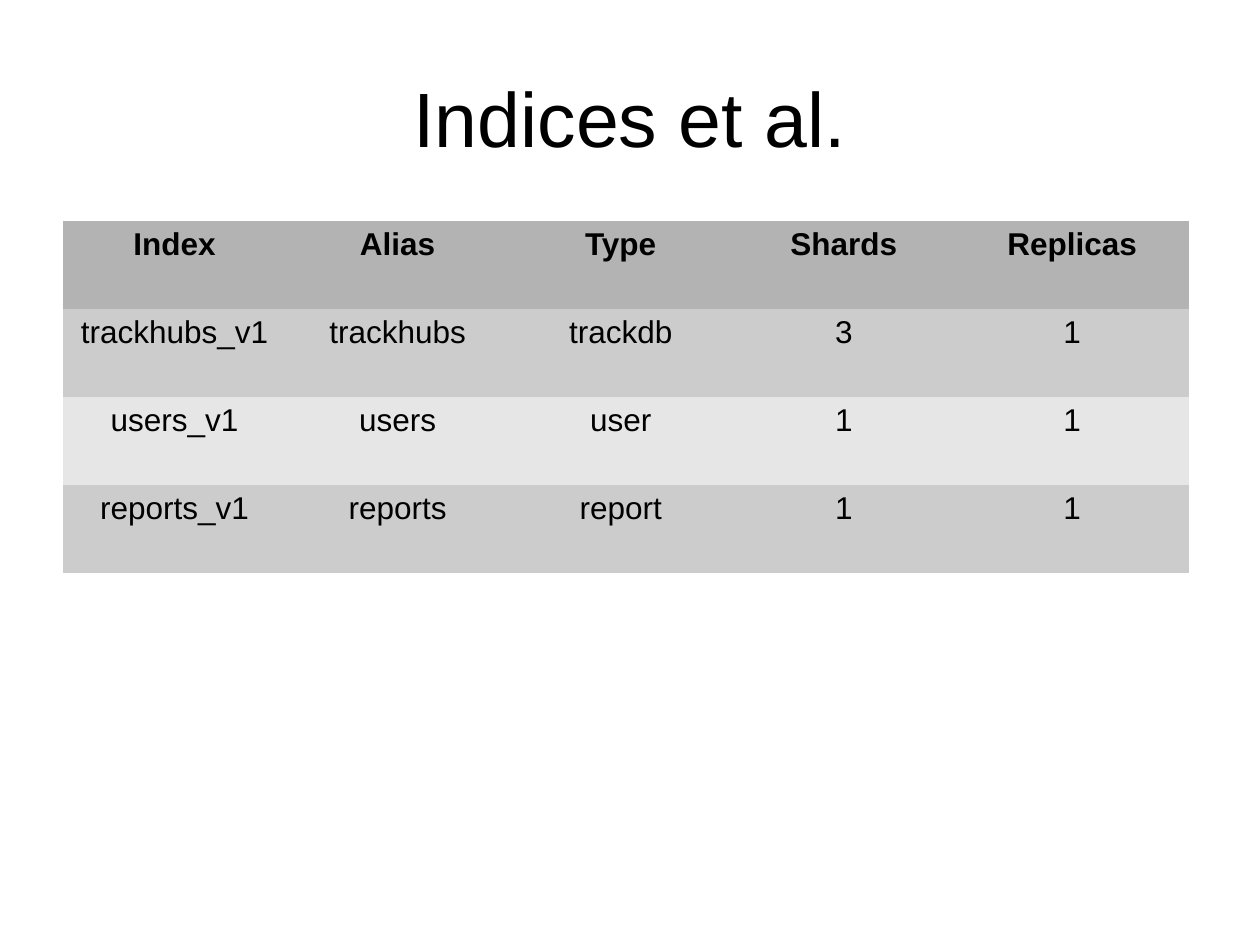
"""Build the slide that lists search indices with their aliases, types, shards and replicas."""
import dataclasses

import pptx
import pptx.dml.color
import pptx.enum.text
import pptx.oxml.ns
import pptx.util


@dataclasses.dataclass(frozen=True)
class Theme:
    font: str = "Arial"
    text: str = "000000"
    header_fill: str = "B3B3B3"
    band_fills: tuple = ("CCCCCC", "E6E6E6")
    title_size: int = 44
    table_size: int = 18


theme = Theme()
NO_GRID_STYLE = "{2D5ABB26-0587-4C30-8999-92F81FD0307C}"
COLUMN_WIDTHS = [127.5, 127.5, 127.5, 127.5, 133.5]
ROW_HEIGHT = 50.4
ROWS = [
    ("Index", "Alias", "Type", "Shards", "Replicas"),
    ("trackhubs_v1", "trackhubs", "trackdb", "3", "1"),
    ("users_v1", "users", "user", "1", "1"),
    ("reports_v1", "reports", "report", "1", "1"),
]


def add_centred_run(text_frame, text, size, bold=False):
    paragraph = text_frame.paragraphs[0]
    paragraph.alignment = pptx.enum.text.PP_ALIGN.CENTER
    run = paragraph.add_run()
    run.text = text
    run.font.name = theme.font
    run.font.size = pptx.util.Pt(size)
    run.font.bold = bold
    run.font.color.rgb = pptx.dml.color.RGBColor.from_string(theme.text)


presentation = pptx.Presentation()
presentation.slide_width = pptx.util.Pt(720)
presentation.slide_height = pptx.util.Pt(540)
slide = presentation.slides.add_slide(presentation.slide_layouts[5])

title = slide.shapes.title
title.left, title.top = pptx.util.Pt(36), pptx.util.Pt(21.6)
title.width, title.height = pptx.util.Pt(648), pptx.util.Pt(90)
title_frame = title.text_frame
title_frame.margin_left = title_frame.margin_right = pptx.util.Pt(0)
title_frame.margin_top = title_frame.margin_bottom = pptx.util.Pt(0)
title_frame.vertical_anchor = pptx.enum.text.MSO_ANCHOR.MIDDLE
add_centred_run(title_frame, "Indices et al.", theme.title_size)

table_shape = slide.shapes.add_table(
    len(ROWS), len(COLUMN_WIDTHS),
    pptx.util.Pt(36), pptx.util.Pt(126),
    pptx.util.Pt(sum(COLUMN_WIDTHS)), pptx.util.Pt(ROW_HEIGHT * len(ROWS)),
)
style_tag = pptx.oxml.ns.qn("a:tableStyleId")
next(table_shape.element.iter(style_tag)).text = NO_GRID_STYLE
table = table_shape.table
table.horz_banding = False

for column, width in zip(table.columns, COLUMN_WIDTHS):
    column.width = pptx.util.Pt(width)

for row_index, values in enumerate(ROWS):
    is_header = row_index == 0
    fill = theme.header_fill if is_header else theme.band_fills[(row_index - 1) % 2]
    table.rows[row_index].height = pptx.util.Pt(ROW_HEIGHT)
    for column_index, value in enumerate(values):
        cell = table.cell(row_index, column_index)
        cell.fill.solid()
        cell.fill.fore_color.rgb = pptx.dml.color.RGBColor.from_string(fill)
        add_centred_run(cell.text_frame, value, theme.table_size, is_header)

presentation.save("out.pptx")
